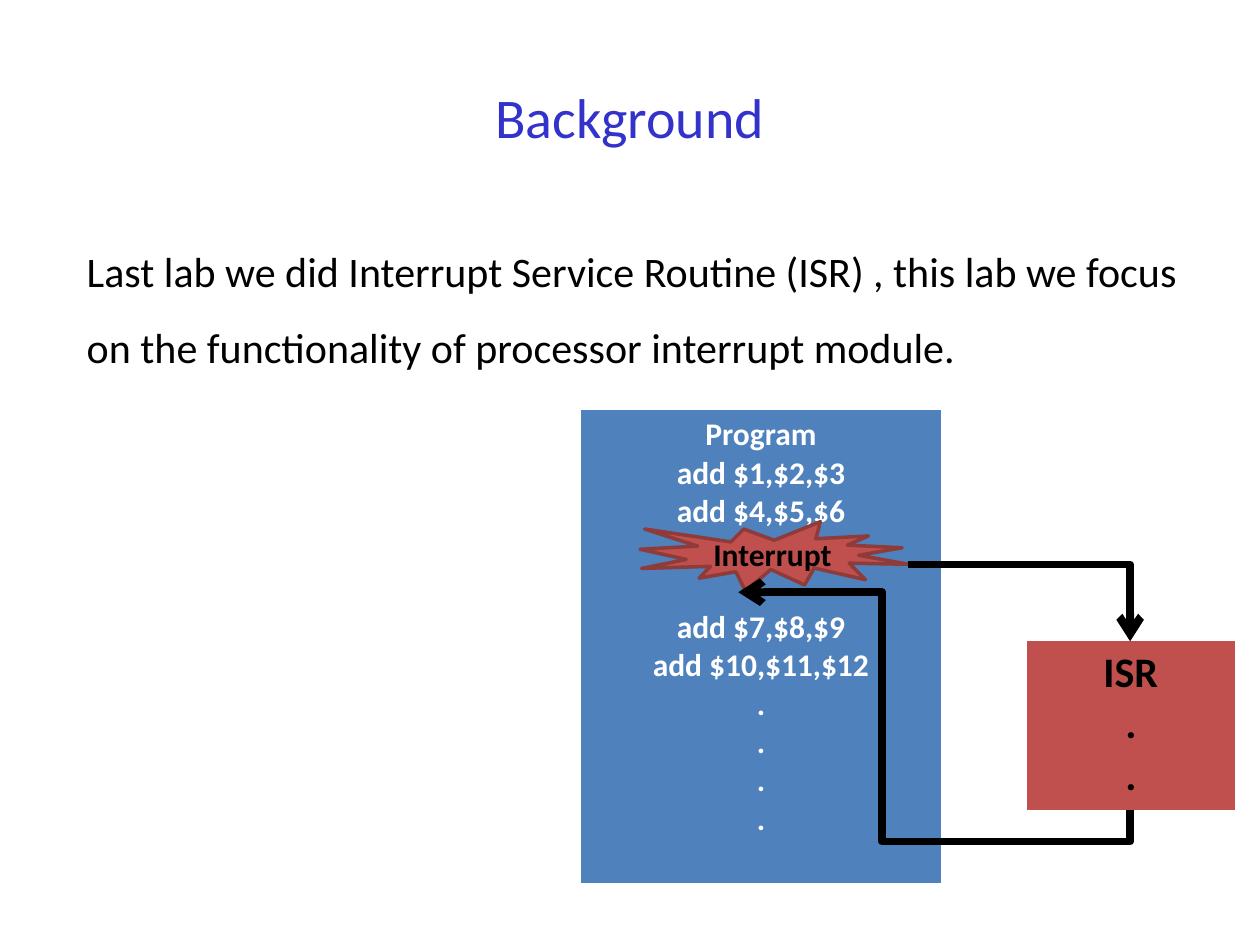
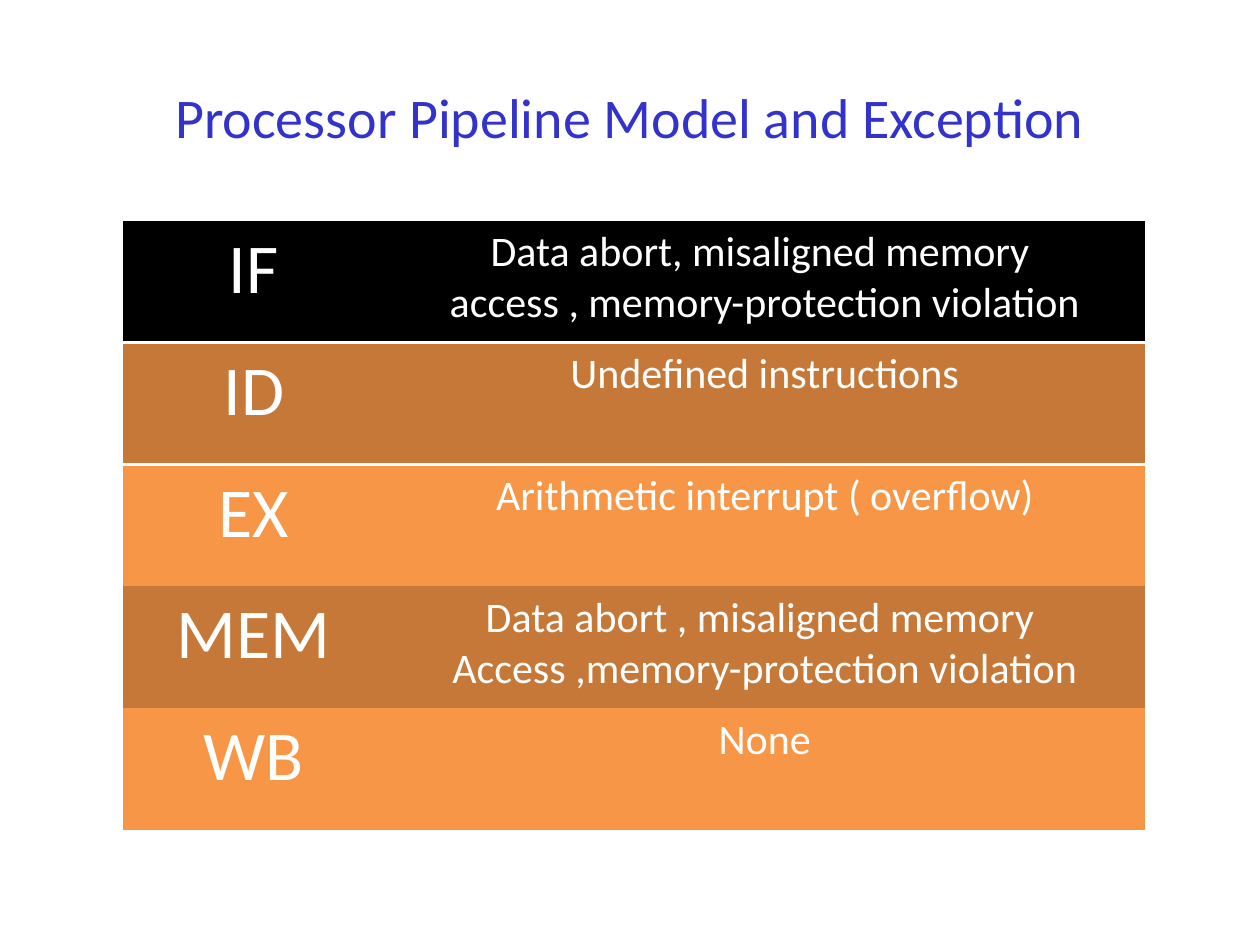
"""Build two slides on processor interrupts and pipeline exceptions."""
import lxml.etree
import pptx
import pptx.dml.color
import pptx.enum.shapes
import pptx.enum.text
import pptx.oxml.ns
import pptx.util

Inches = pptx.util.Inches
Pt = pptx.util.Pt
qn = pptx.oxml.ns.qn

FONT = "Calibri"
TITLE_BLUE = "3333CC"
BLACK = "000000"
WHITE = "FFFFFF"
PROGRAM_BLUE = "4F81BD"
INTERRUPT_RED = "C0504D"
SEAL_EDGE = "8E3B39"
DARK_ORANGE = "C67838"
ORANGE = "F79646"
NO_TABLE_STYLE = "{2D5ABB26-0587-4C30-8999-92F81FD0307C}"


def color(value):
    return pptx.dml.color.RGBColor.from_string(value)


def write(text_frame, lines, size, text_color, bold=False):
    text_frame.word_wrap = True
    for index, line in enumerate(lines):
        paragraph = text_frame.paragraphs[0] if index == 0 else text_frame.add_paragraph()
        paragraph.alignment = pptx.enum.text.PP_ALIGN.CENTER
        run = paragraph.add_run()
        run.text = line
        run.font.name = FONT
        run.font.size = Pt(size)
        run.font.bold = bold
        run.font.color.rgb = color(text_color)


presentation = pptx.Presentation()
presentation.slide_width = Inches(10)
presentation.slide_height = Inches(7.5)

slides = []
for title in ["Background", "Processor Pipeline Model and Exception"]:
    slide = presentation.slides.add_slide(presentation.slide_layouts[6])
    title_box = slide.shapes.add_textbox(Inches(0.5), Inches(0.3), Inches(9), Inches(1.25))
    title_box.text_frame.vertical_anchor = pptx.enum.text.MSO_ANCHOR.MIDDLE
    write(title_box.text_frame, [title], 32, TITLE_BLUE)
    slides.append(slide)
background_slide, pipeline_slide = slides

body_box = background_slide.shapes.add_textbox(Inches(0.59), Inches(1.7), Inches(9), Inches(4.95))
write(body_box.text_frame, [
    "Last lab we did Interrupt Service Routine (ISR) , this lab we focus "
    "on the functionality of processor interrupt module."], 24, BLACK)
body_paragraph = body_box.text_frame.paragraphs[0]
body_paragraph.alignment = pptx.enum.text.PP_ALIGN.LEFT
body_paragraph.line_spacing = 1.5
body_paragraph.space_before = Pt(4.8)

program_lines = ["Program", "add $1,$2,$3", "add $4,$5,$6",
                 "add $7,$8,$9", "add $10,$11,$12", ".", ".", ".", "."]
stages = [
    ("IF", ["Data abort, misaligned memory ", "access , memory-protection violation"]),
    ("ID", ["Undefined instructions"]),
    ("EX", ["Arithmetic interrupt ( overflow)"]),
    ("MEM", ["Data abort , misaligned memory ", "Access ,memory-protection violation"]),
    ("WB", ["None"]),
]
stage_fills = [BLACK, DARK_ORANGE, ORANGE, DARK_ORANGE, ORANGE]
stage_rows = [
    [([name], 40, WHITE, False, fill), (causes, 24, WHITE, False, fill)]
    for (name, causes), fill in zip(stages, stage_fills)
]

tables = []
for slide, left, top, widths, row_height, rows in [
    (background_slide, 4.61, 3.25, [2.86], 3.76,
     [[(program_lines, 18, WHITE, True, PROGRAM_BLUE)]]),
    (background_slide, 8.15, 5.09, [1.65], 1.34,
     [[(["ISR", ".", "."], 24, BLACK, True, INTERRUPT_RED)]]),
    (pipeline_slide, 0.98, 1.75, [2.07, 6.04], 0.967, stage_rows),
]:
    frame = slide.shapes.add_table(
        len(rows), len(widths), Inches(left), Inches(top),
        Inches(sum(widths)), Inches(row_height * len(rows)))
    table = frame.table
    table._tbl.tblPr.find(qn("a:tableStyleId")).text = NO_TABLE_STYLE
    for column, width in zip(table.columns, widths):
        column.width = Inches(width)
    for table_row, cells in zip(table.rows, rows):
        table_row.height = Inches(row_height)
        for cell, (lines, size, text_color, bold, fill) in zip(table_row.cells, cells):
            write(cell.text_frame, lines, size, text_color, bold)
            cell.fill.solid()
            cell.fill.fore_color.rgb = color(fill)
    tables.append(table)
program_table, isr_table, stage_table = tables

after_interrupt = program_table.cell(0, 0).text_frame.paragraphs[3]
after_interrupt.space_before = Pt(44)

for row_index, edge in [(0, "a:lnB"), (1, "a:lnT")]:
    for cell in stage_table.rows[row_index].cells:
        border = lxml.etree.Element(qn(edge), w=str(Pt(2)))
        border_fill = lxml.etree.SubElement(border, qn("a:solidFill"))
        lxml.etree.SubElement(border_fill, qn("a:srgbClr"), val=WHITE)
        cell._tc.get_or_add_tcPr().insert(0, border)

seal = background_slide.shapes.add_shape(
    pptx.enum.shapes.MSO_SHAPE.EXPLOSION1,
    Inches(5.08), Inches(4.14), Inches(2.13), Inches(0.55))
seal.shadow.inherit = False
seal.fill.solid()
seal.fill.fore_color.rgb = color(INTERRUPT_RED)
seal.line.color.rgb = color(SEAL_EDGE)
seal.line.width = Pt(2)
seal.text_frame.vertical_anchor = pptx.enum.text.MSO_ANCHOR.MIDDLE
write(seal.text_frame, ["Interrupt"], 18, BLACK, True)

for start, end, preset, rotation, adjustments in [
    ((7.21, 4.48), (8.97, 5.09), "bentConnector2", 0, []),
    ((8.28, 4.01), (6.55, 7.12), "bentConnector4", 90, [-14400, 63300]),
]:
    connector = background_slide.shapes.add_connector(
        pptx.enum.shapes.MSO_CONNECTOR.ELBOW, *map(Inches, start + end))
    connector.line.color.rgb = color(BLACK)
    connector.line.width = Pt(4.5)
    properties = connector._element.spPr
    if rotation:
        properties.find(qn("a:xfrm")).set("rot", str(rotation * 60000))
    geometry = properties.find(qn("a:prstGeom"))
    geometry.set("prst", preset)
    guides = geometry.find(qn("a:avLst"))
    for number, value in enumerate(adjustments, 1):
        lxml.etree.SubElement(guides, qn("a:gd"), name=f"adj{number}", fmla=f"val {value}")
    lxml.etree.SubElement(properties.find(qn("a:ln")), qn("a:tailEnd"), type="arrow")
    lxml.etree.SubElement(properties, qn("a:effectLst"))

presentation.save("out.pptx")
